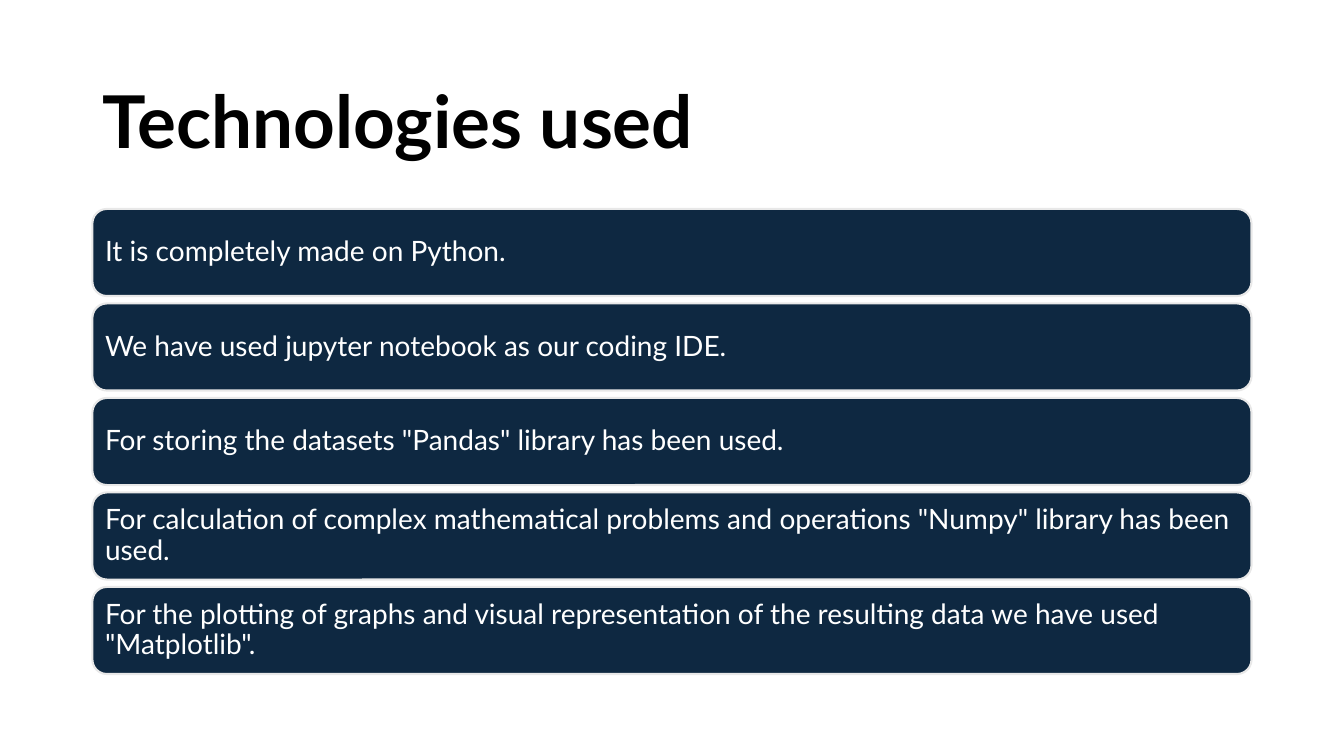
from dataclasses import dataclass

from pptx import Presentation
from pptx.dml.color import RGBColor
from pptx.enum.shapes import MSO_SHAPE
from pptx.enum.text import MSO_ANCHOR, MSO_AUTO_SIZE, PP_ALIGN
from pptx.util import Emu, Pt

ROUNDED = MSO_SHAPE.ROUNDED_RECTANGLE
MIDDLE = MSO_ANCHOR.MIDDLE
LEFT = PP_ALIGN.LEFT
NO_FIT = MSO_AUTO_SIZE.NONE

EMU_PER_PX = 9525
TITLE_ONLY_LAYOUT = 5
SLIDE_SIZE = (1280, 720)
MARGIN_LEFT = 88
CONTENT_WIDTH = 1104
TITLE_TOP = 59
TITLE_HEIGHT = 119
CARDS_TOP = 199
CARD_HEIGHT = 83
CARD_PITCH = 90
CARD_INSET = 8

TECHNOLOGIES = [
    "It is completely made on Python.",
    "We have used jupyter notebook as our coding IDE.",
    'For storing the datasets "Pandas" library has been used.',
    'For calculation of complex mathematical problems and operations "Numpy" library has been used.',
    'For the plotting of graphs and visual representation of the resulting data we have used "Matplotlib".',
]


@dataclass(frozen=True)
class Theme:
    font: str = "Lato"
    title_size: int = 52
    card_size: int = 20
    line_spacing: float = 0.9
    border_width: float = 1.5
    title_color: RGBColor = RGBColor.from_string("000000")
    card_fill: RGBColor = RGBColor.from_string("0E2841")
    card_border: RGBColor = RGBColor.from_string("E8E8E8")
    card_text: RGBColor = RGBColor.from_string("FFFFFF")


THEME = Theme()


def px(length):
    return Emu(length * EMU_PER_PX)


def write_text(frame, text, size, color, bold=False):
    frame.text = text
    frame.word_wrap = True
    frame.auto_size = NO_FIT
    frame.vertical_anchor = MIDDLE
    paragraph = frame.paragraphs[0]
    paragraph.alignment = LEFT
    paragraph.line_spacing = THEME.line_spacing
    font = paragraph.runs[0].font
    font.name = THEME.font
    font.size = Pt(size)
    font.bold = bold
    font.color.rgb = color


def set_title(slide, text):
    title = slide.shapes.title
    title.left, title.top = px(MARGIN_LEFT), px(TITLE_TOP)
    title.width, title.height = px(CONTENT_WIDTH), px(TITLE_HEIGHT)
    write_text(title.text_frame, text, THEME.title_size, THEME.title_color, bold=True)


def add_card(slide, top, text):
    card = slide.shapes.add_shape(
        ROUNDED, px(MARGIN_LEFT), px(top), px(CONTENT_WIDTH), px(CARD_HEIGHT)
    )
    card.shadow.inherit = False
    card.fill.solid()
    card.fill.fore_color.rgb = THEME.card_fill
    card.line.color.rgb = THEME.card_border
    card.line.width = Pt(THEME.border_width)
    frame = card.text_frame
    frame.margin_left = frame.margin_right = px(CARD_INSET)
    frame.margin_top = frame.margin_bottom = px(CARD_INSET)
    write_text(frame, text, THEME.card_size, THEME.card_text)


def main():
    deck = Presentation()
    deck.slide_width, deck.slide_height = map(px, SLIDE_SIZE)
    slide = deck.slides.add_slide(deck.slide_layouts[TITLE_ONLY_LAYOUT])
    set_title(slide, "Technologies used")
    for row, technology in enumerate(TECHNOLOGIES):
        add_card(slide, CARDS_TOP + row * CARD_PITCH, technology)
    deck.save("out.pptx")


if __name__ == "__main__":
    main()
